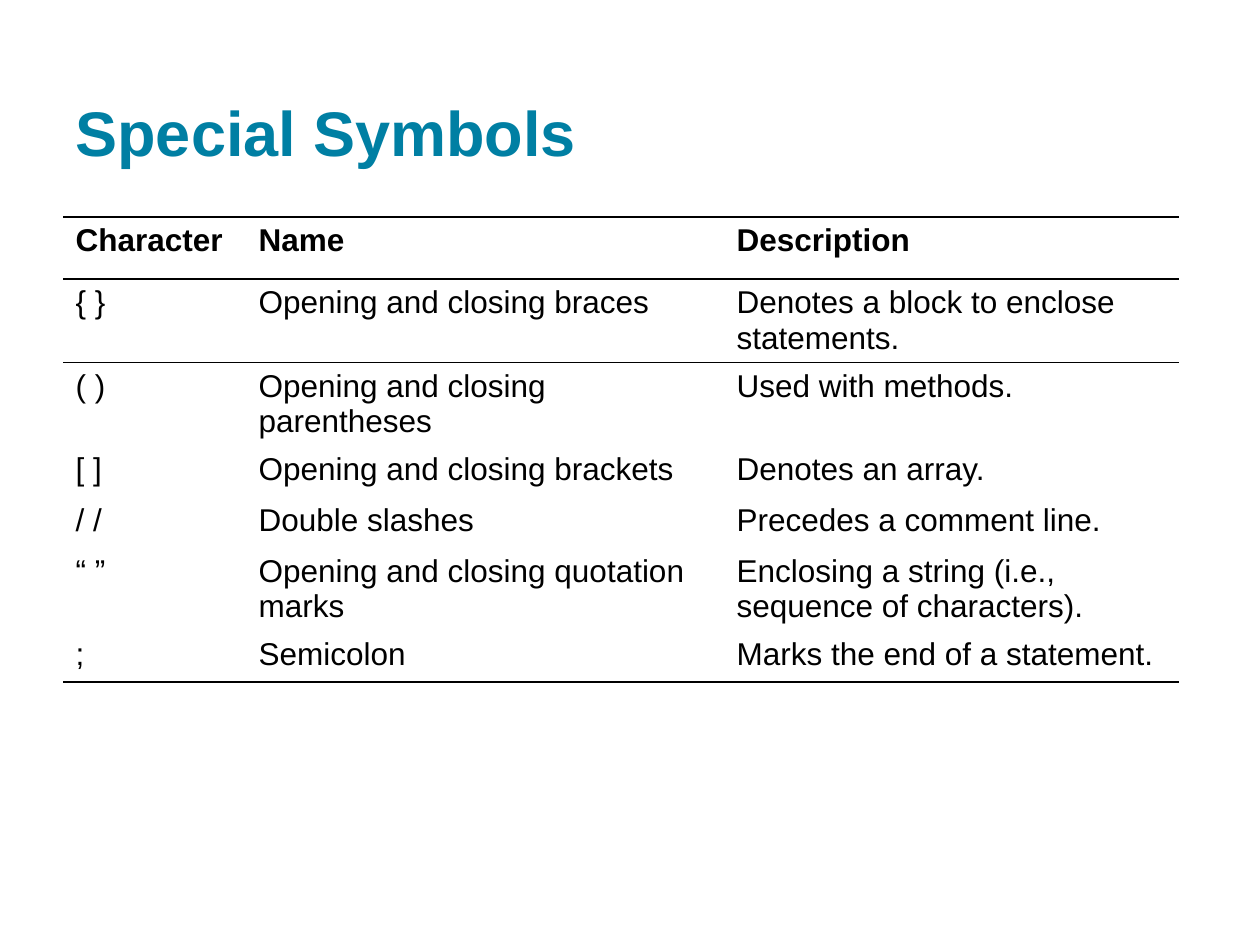
from lxml import etree
from pptx import Presentation
from pptx.dml.color import RGBColor
from pptx.enum.text import MSO_ANCHOR, MSO_AUTO_SIZE, PP_ALIGN
from pptx.oxml.ns import qn
from pptx.util import Pt

BOTTOM = MSO_ANCHOR.BOTTOM
NO_FIT = MSO_AUTO_SIZE.NONE
LEFT = PP_ALIGN.LEFT
TITLE_ONLY = 5
NO_STYLE = "{2D5ABB26-0587-4C30-8999-92F81FD0307C}"

HEADER = ("Character", "Name", "Description")
SYMBOLS = [
    ("{ }", "Opening and closing braces", "Denotes a block to enclose statements."),
    ("( )", "Opening and closing parentheses", "Used with methods."),
    ("[ ]", "Opening and closing brackets", "Denotes an array."),
    ("/ /", "Double slashes", "Precedes a comment line."),
    ("“ ”", "Opening and closing quotation marks",
     "Enclosing a string (i.e., sequence of characters)."),
    (";", "Semicolon", "Marks the end of a statement."),
]


def color(value):
    return RGBColor.from_string(value)


def write(tf, text, size=18, fill="000000", bold=False, font="Arial"):
    p = tf.paragraphs[0]
    p.alignment = LEFT
    r = p.add_run()
    r.text = text
    r.font.name = font
    r.font.size = Pt(size)
    r.font.bold = bold
    r.font.color.rgb = color(fill)


class Deck:
    accent = "007FA3"
    ink = "000000"
    rule_width = 1

    def __init__(self, prs):
        self.s = prs.slides.add_slide(prs.slide_layouts[TITLE_ONLY])

    def title(self, text, left, top, width, height):
        sp = self.s.shapes.title
        sp.left, sp.top, sp.width, sp.height = map(Pt, (left, top, width, height))
        tf = sp.text_frame
        tf.auto_size = NO_FIT
        tf.vertical_anchor = BOTTOM
        tf.margin_left = tf.margin_right = tf.margin_top = tf.margin_bottom = Pt(7.2)
        write(tf, text, size=36, fill=self.accent, bold=True)

    def rule(self, cell, side):
        tc_pr = cell._tc.get_or_add_tcPr()
        ln = etree.SubElement(tc_pr, qn(f"a:ln{side}"), w=str(Pt(self.rule_width)))
        solid = etree.SubElement(ln, qn("a:solidFill"))
        etree.SubElement(solid, qn("a:srgbClr"), val=self.ink)

    def table(self, rows, left, top, widths, heights):
        box = map(Pt, (left, top, sum(widths), sum(heights)))
        table = self.s.shapes.add_table(len(rows), len(widths), *box).table
        table.first_row = table.horz_banding = False
        table._tbl.tblPr.find(qn("a:tableStyleId")).text = NO_STYLE
        for column, width in zip(table.columns, widths):
            column.width = Pt(width)
        last = len(rows) - 1
        for i, (values, height) in enumerate(zip(rows, heights)):
            table.rows[i].height = Pt(height)
            for j, text in enumerate(values):
                cell = table.cell(i, j)
                write(cell.text_frame, text, fill=self.ink, bold=i == 0)
                if i in (0, 1):
                    self.rule(cell, "T")
                if i in (0, last):
                    self.rule(cell, "B")
                cell.fill.background()


def main():
    prs = Presentation()
    prs.slide_width, prs.slide_height = Pt(720), Pt(540)
    deck = Deck(prs)
    deck.title("Special Symbols", 36, 17.3, 648, 86.4)
    deck.table([HEADER] + SYMBOLS, 36, 124,
               widths=(104.6, 273.2, 260),
               heights=[35.5] + [29.2] * len(SYMBOLS))
    prs.save("out.pptx")


if __name__ == "__main__":
    main()
